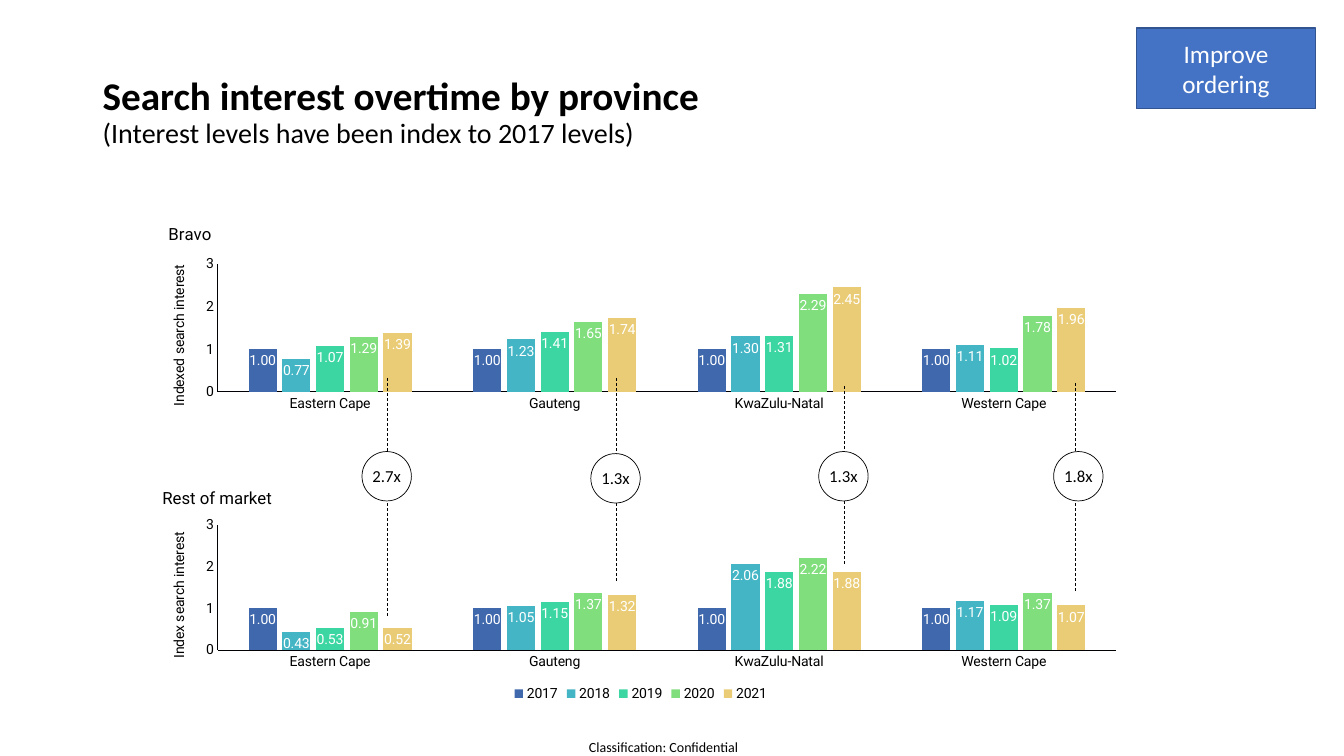
from lxml import etree
from pptx import Presentation
from pptx import util as u
from pptx.chart.data import CategoryChartData
from pptx.dml.color import RGBColor
from pptx.enum import chart as ch, dml, shapes, text
from pptx.oxml.ns import qn

COLORS = {"black": "000000", "white": "FFFFFF", "axis": "000005", "tag": "4472C4", "tag_edge": "325491"}
YEARS = {"2017": "3F68AD", "2018": "44B5C5", "2019": "3CD6A3", "2020": "80DE7D", "2021": "EACC77"}
PROVINCES = ["Eastern Cape", "Gauteng", "KwaZulu-Natal", "Western Cape"]
HEADING = [("Search interest overtime by province", 28, True),
           ("(Interest levels have been index to 2017 levels)", 20, False)]
HEADING_BOX = (0.92, 0.4, 11.5, 1.45)
TAG = ("Improve ordering", (11.27, 0.28, 1.78, 0.8))
FOOTER = ("Classification: Confidential", (5.82, 7.33, 1.52, 0.17))
MARKETS = [
    {"title": "Bravo", "axis": "Indexed search interest", "top": 2.11, "height": 2.01, "legend": False,
     "title_at": (1.64, 2.18), "axis_at": (1.66, 2.6), "plot": (2.16, 2.62, 8.91, 1.27),
     "values": [(1, 1, 1, 1), (0.77, 1.23, 1.3, 1.11), (1.07, 1.41, 1.31, 1.02),
                (1.29, 1.65, 2.29, 1.78), (1.39, 1.74, 2.45, 1.96)]},
    {"title": "Rest of market", "axis": "Index search interest", "top": 4.68, "height": 2.32, "legend": True,
     "title_at": (1.58, 4.8), "axis_at": (1.66, 5.25), "plot": (2.16, 5.21, 8.91, 1.24),
     "values": [(1, 1, 1, 1), (0.43, 1.05, 2.06, 1.17), (0.53, 1.15, 1.88, 1.09),
                (0.91, 1.37, 2.22, 1.37), (0.52, 1.32, 1.88, 1.07)]},
]
CHART_LEFT, CHART_WIDTH = 1.44, 9.83
RATIOS = [("2.7x", 3.84, 3.75, 6.11, 3.59, 4.48), ("1.3x", 6.11, 3.75, 5.78, 5.86, 4.5),
          ("1.3x", 8.37, 3.83, 5.6, 8.12, 4.48), ("1.8x", 10.67, 3.8, 5.88, 10.45, 4.48)]
CIRCLE = 0.49


def rgb(name):
    return RGBColor.from_string(COLORS.get(name, name))


def inches(values):
    return [u.Inches(value) for value in values]


def apply(target, values):
    for key, value in values.items():
        setattr(target, key, value)


def style_font(font, size, color="black", face="Roboto", bold=False):
    apply(font, {"size": u.Pt(size), "name": face, "bold": bold})
    font.color.rgb = rgb(color)


def style_line(line, color, width):
    line.color.rgb = rgb(color)
    line.width = u.Pt(width)


def write(shape, runs, color="black", align=text.PP_ALIGN.CENTER, inset=0.0, wrap=True, spacing=1.0):
    frame = shape.text_frame
    apply(frame, {"word_wrap": wrap, "vertical_anchor": text.MSO_ANCHOR.MIDDLE})
    apply(frame, {"margin_" + side: u.Inches(inset) for side in ("left", "right", "top", "bottom")})
    paragraph = frame.paragraphs[0]
    apply(paragraph, {"alignment": align, "line_spacing": spacing})
    for index, (words, size, bold) in enumerate(runs):
        if index:
            paragraph.add_line_break()
        run = paragraph.add_run()
        run.text = words
        style_font(run.font, size, color, "Calibri", bold)


def draw_shape(slide, kind, box, fill, edge, width):
    shape = slide.shapes.add_shape(kind, *inches(box))
    shape.shadow.inherit = False
    shape.fill.solid()
    shape.fill.fore_color.rgb = rgb(fill)
    style_line(shape.line, edge, width)
    return shape


def place(element, index, market, box, inner=False):
    for old in element.findall(qn("c:layout")):
        element.remove(old)
    layout = etree.Element(qn("c:layout"))
    manual = etree.SubElement(layout, qn("c:manualLayout"))
    left, top, *size = box
    parts = [("xMode", "edge"), ("yMode", "edge"),
             ("x", (left - CHART_LEFT) / CHART_WIDTH), ("y", (top - market["top"]) / market["height"])]
    if inner:
        parts.insert(0, ("layoutTarget", "inner"))
        parts += [("w", size[0] / CHART_WIDTH), ("h", size[1] / market["height"])]
    for tag, value in parts:
        etree.SubElement(manual, qn("c:" + tag)).set("val", str(value))
    element.insert(index, layout)


def add_title(owner, words, size, market, at):
    title = getattr(owner, "chart_title", None) or owner.axis_title
    title.text_frame.text = words
    style_font(title.text_frame.paragraphs[0].runs[0].font, size)
    place(title._element, 1, market, at)
    return title


def draw_market(slide, market):
    data = CategoryChartData(number_format="0.00")
    data.categories = PROVINCES
    for year, values in zip(YEARS, market["values"]):
        data.add_series(year, values)
    box = inches((CHART_LEFT, market["top"], CHART_WIDTH, market["height"]))
    chart = slide.shapes.add_chart(ch.XL_CHART_TYPE.COLUMN_CLUSTERED, *box, data).chart
    style_font(chart.font, 10)
    add_title(chart, market["title"], 12, market, market["title_at"])
    chart.has_legend = market["legend"]
    if market["legend"]:
        apply(chart.legend, {"position": ch.XL_LEGEND_POSITION.BOTTOM, "include_in_layout": False})
        style_font(chart.legend.font, 10)
    for axis in (chart.category_axis, chart.value_axis):
        apply(axis, {"has_major_gridlines": False, "major_tick_mark": ch.XL_TICK_MARK.NONE,
                     "minor_tick_mark": ch.XL_TICK_MARK.NONE})
        style_font(axis.tick_labels.font, 10)
        style_line(axis.format.line, "axis", 0.75)
    apply(chart.value_axis, {"minimum_scale": 0, "maximum_scale": 3, "major_unit": 1})
    apply(chart.value_axis.tick_labels, {"number_format": "0", "number_format_is_linked": False})
    axis_title = add_title(chart.value_axis, market["axis"], 10, market, market["axis_at"])
    axis_title._element.find(".//" + qn("a:bodyPr")).set("rot", "-5400000")
    plot = chart.plots[0]
    apply(plot, {"gap_width": 219, "overlap": -20, "vary_by_categories": False})
    for series, color in zip(plot.series, YEARS.values()):
        series.format.fill.solid()
        series.format.fill.fore_color.rgb = rgb(color)
        apply(series.data_labels, {"show_value": True, "position": ch.XL_LABEL_POSITION.INSIDE_END,
                                   "number_format": "0.00", "number_format_is_linked": False})
        style_font(series.data_labels.font, 10, "white")
    place(chart._chartSpace.find(".//" + qn("c:plotArea")), 0, market, market["plot"], inner=True)


def draw_ratio(slide, ratio, x, top, bottom, left, circle_top):
    link = slide.shapes.add_connector(shapes.MSO_CONNECTOR.STRAIGHT, *inches((x, top, x, bottom)))
    style_line(link.line, "black", 0.5)
    link.line.dash_style = dml.MSO_LINE.DASH
    etree.SubElement(link._element.spPr, qn("a:effectLst"))
    circle = draw_shape(slide, shapes.MSO_SHAPE.OVAL, (left, circle_top, CIRCLE, CIRCLE), "white", "black", 0.5)
    write(circle, [(ratio, 12, False)], wrap=False)


def main():
    """Build the slide on search interest by province."""
    deck = Presentation()
    apply(deck, {"slide_width": u.Inches(13.33), "slide_height": u.Inches(7.5)})
    slide = deck.slides.add_slide(deck.slide_layouts[6])
    footer = slide.shapes.add_textbox(*inches(FOOTER[1]))
    write(footer, [(FOOTER[0], 10, False)])
    heading = slide.shapes.add_textbox(*inches(HEADING_BOX))
    write(heading, HEADING, align=text.PP_ALIGN.LEFT, inset=0.1, spacing=0.9)
    for market in MARKETS:
        draw_market(slide, market)
    for row in RATIOS:
        draw_ratio(slide, *row)
    tag = draw_shape(slide, shapes.MSO_SHAPE.RECTANGLE, TAG[1], "tag", "tag_edge", 1)
    write(tag, [(TAG[0], 18, False)], "white", inset=0.1)
    deck.save("out.pptx")


if __name__ == "__main__":
    main()
